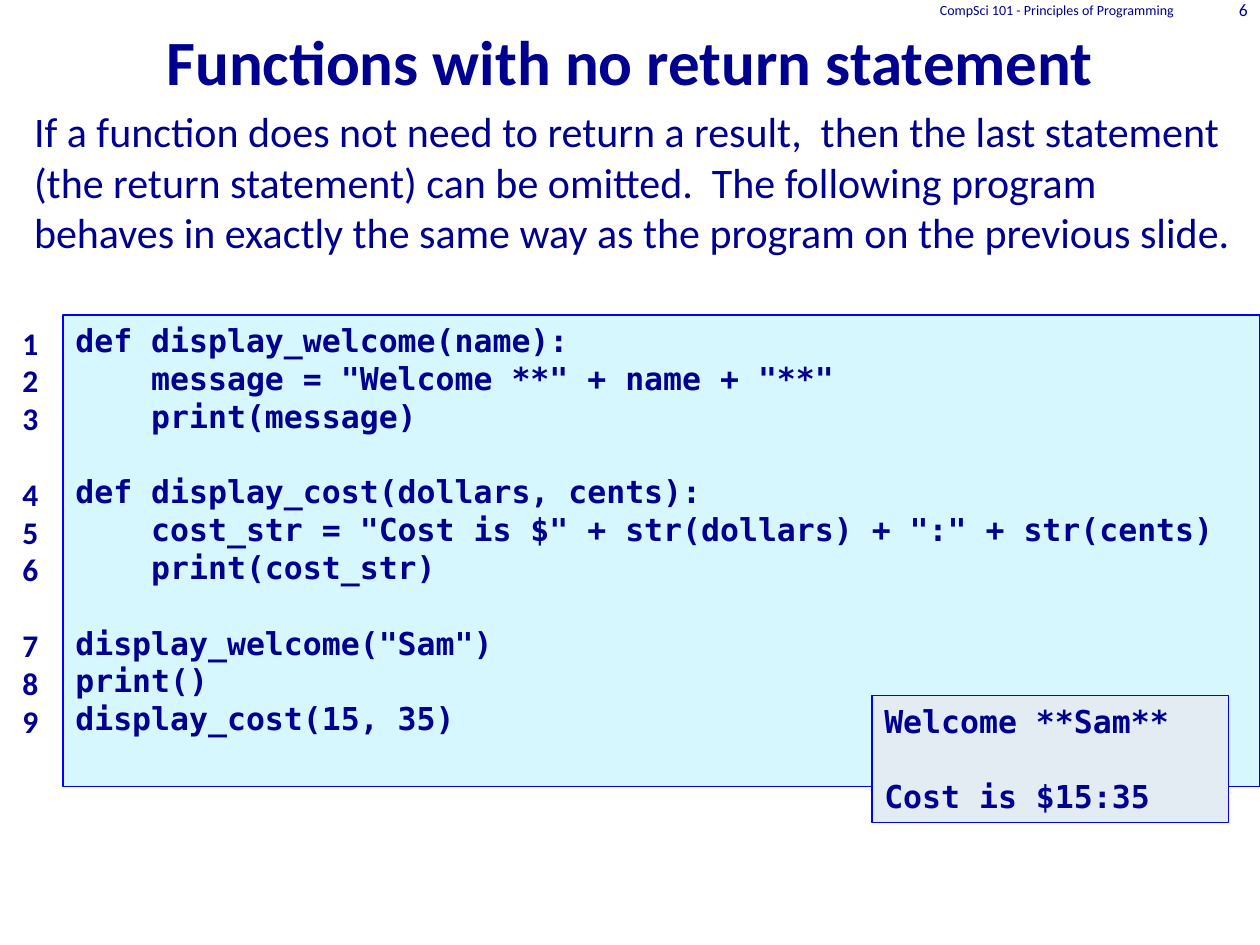
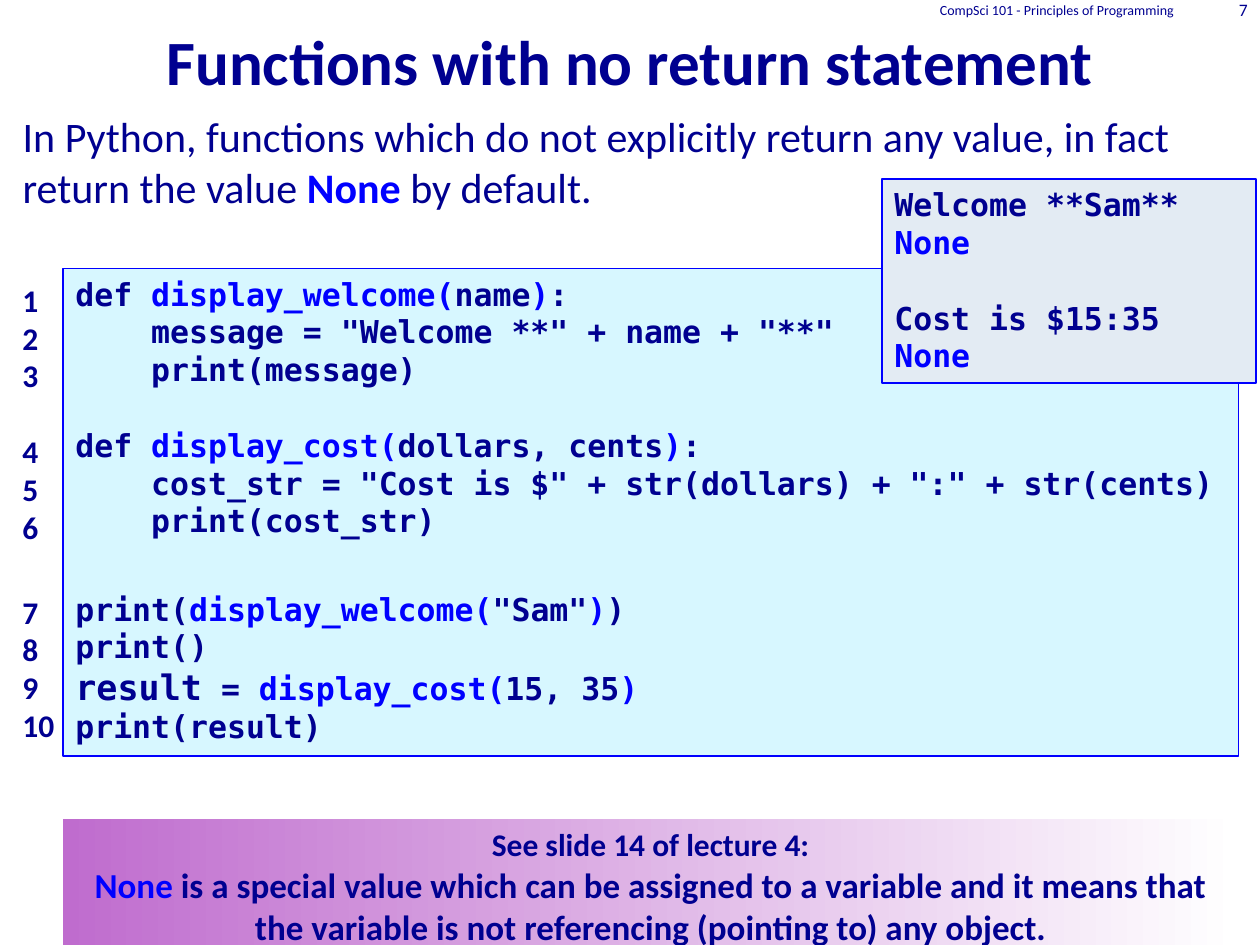
"""Build two lecture slides on functions without a return statement."""
from dataclasses import dataclass

from pptx import Presentation
from pptx.dml.color import RGBColor
from pptx.enum.shapes import MSO_SHAPE
from pptx.enum.text import MSO_ANCHOR, MSO_AUTO_SIZE, PP_ALIGN
from pptx.util import Inches, Pt

RECTANGLE = MSO_SHAPE.RECTANGLE
TOP, MIDDLE, BOTTOM = MSO_ANCHOR.TOP, MSO_ANCHOR.MIDDLE, MSO_ANCHOR.BOTTOM
LEFT, CENTER, RIGHT = PP_ALIGN.LEFT, PP_ALIGN.CENTER, PP_ALIGN.RIGHT
NO_AUTOFIT = MSO_AUTO_SIZE.NONE


@dataclass(frozen=True)
class Theme:
    """Colours, fonts and type sizes shared by the slides."""
    ink: RGBColor = RGBColor(0x00, 0x00, 0x90)
    accent: RGBColor = RGBColor(0x00, 0x00, 0xFF)
    code_fill: RGBColor = RGBColor(0xD7, 0xF7, 0xFF)
    output_fill: RGBColor = RGBColor(0xE3, 0xEB, 0xF3)
    notice_start: RGBColor = RGBColor(0xBF, 0x6C, 0xCE)
    notice_end: RGBColor = RGBColor(0xFF, 0xFF, 0xFF)
    prose: str = "Calibri"
    mono: str = "DejaVu Sans Mono"
    title_size: int = 36
    body_size: int = 24
    emphasis_size: int = 20
    code_size: int = 18
    page_size: int = 10
    course_size: int = 8
    border: float = 0.75
    line_pitch: float = 21.6
    large_pitch: float = 24


THEME = Theme()
TITLE = "Functions with no return statement"
COURSE = "CompSci 101 - Principles of Programming"


def place(shape, box):
    """Move a shape to a box of left, top, width and height in inches."""
    shape.left, shape.top, shape.width, shape.height = map(Inches, box)


def write_line(paragraph, text, size, font=THEME.prose, bold=False, align=LEFT):
    """Fill a paragraph; text between bars is bold in the accent colour."""
    paragraph.alignment = align
    paragraph.font.name = font
    paragraph.font.size = Pt(size)
    paragraph.font.bold = bold
    paragraph.font.color.rgb = THEME.ink
    for index, part in enumerate(text.split("|")):
        if part:
            run = paragraph.add_run()
            run.text = part
            if index % 2:
                run.font.bold = True
                run.font.color.rgb = THEME.accent


def set_frame(frame, anchor=TOP):
    """Make a text frame wrap at a fixed size."""
    frame.word_wrap = True
    frame.auto_size = NO_AUTOFIT
    frame.vertical_anchor = anchor


def write_blocks(frame, blocks, gap=THEME.line_pitch, last_gap=THEME.line_pitch,
                 font=THEME.mono):
    """Write blocks of lines at an even pitch, with a gap between blocks."""
    set_frame(frame)
    paragraph = None
    for number, block in enumerate(blocks):
        for row, line in enumerate(block):
            paragraph = frame.add_paragraph() if paragraph else frame.paragraphs[0]
            write_line(paragraph, line, THEME.code_size, font, bold=True)
            paragraph.line_spacing = Pt(THEME.line_pitch)
            if number and not row:
                last = number == len(blocks) - 1
                paragraph.space_before = Pt(last_gap if last else gap)


def add_panel(slide, box):
    """Add a plain rectangle."""
    panel = slide.shapes.add_shape(RECTANGLE, *map(Inches, box))
    panel.shadow.inherit = False
    return panel


def add_listing(slide, box, fill, blocks, last_gap=THEME.line_pitch):
    """Add a bordered panel of monospaced lines and return its text frame."""
    panel = add_panel(slide, box)
    panel.fill.solid()
    panel.fill.fore_color.rgb = fill
    panel.line.color.rgb = THEME.accent
    panel.line.width = Pt(THEME.border)
    write_blocks(panel.text_frame, blocks, last_gap=last_gap)
    return panel.text_frame


def add_line_numbers(slide, box, counts, last_gap=THEME.line_pitch):
    """Number the code lines, given how many lines each block has."""
    blocks, first = [], 1
    for count in counts:
        blocks.append([str(number) for number in range(first, first + count)])
        first += count
    numbers = slide.shapes.add_textbox(*map(Inches, box))
    write_blocks(numbers.text_frame, blocks, last_gap=last_gap, font=THEME.prose)


def add_notice(slide, box, reference, statement):
    """Add the fading band with a reference and a statement."""
    band = add_panel(slide, box)
    band.line.fill.background()
    band.fill.gradient()
    band.fill.gradient_angle = 0
    for stop, color in zip(band.fill.gradient_stops,
                           (THEME.notice_start, THEME.notice_end)):
        stop.color.rgb = color
    frame = band.text_frame
    set_frame(frame)
    write_line(frame.paragraphs[0], reference, THEME.code_size, bold=True, align=CENTER)
    write_line(frame.add_paragraph(), statement, THEME.emphasis_size, bold=True,
               align=CENTER)


def add_header(slide, page):
    """Add the course name and page number along the top edge."""
    for left, width, text, size in ((6.42, 3, COURSE, THEME.course_size),
                                    (9.42, 0.58, str(page), THEME.page_size)):
        label = slide.shapes.add_textbox(*map(Inches, (left, -0.01, width, 0.17)))
        set_frame(label.text_frame, MIDDLE)
        write_line(label.text_frame.paragraphs[0], text, size, align=RIGHT)


def add_lecture_slide(deck, page, body_box, body_text):
    """Add a slide with its header, title and introductory text."""
    slide = deck.slides.add_slide(deck.slide_layouts[1])
    title, body = slide.placeholders
    place(title, (0, 0, 10, 0.83))
    set_frame(title.text_frame, BOTTOM)
    write_line(title.text_frame.paragraphs[0], TITLE, THEME.title_size, bold=True,
               align=CENTER)
    place(body, body_box)
    set_frame(body.text_frame)
    intro = body.text_frame.paragraphs[0]
    write_line(intro, body_text, THEME.body_size)
    properties = intro._p.get_or_add_pPr()
    properties.set("marL", "0")
    properties.set("indent", "0")
    bullet = properties.makeelement(
        "{http://schemas.openxmlformats.org/drawingml/2006/main}buNone", {})
    properties.insert_element_before(bullet, "a:tabLst", "a:defRPr", "a:extLst")
    add_header(slide, page)
    return slide


def function_blocks(welcome, cost):
    """Return the two function definitions under the given signatures."""
    return [
        [f"def {welcome}:",
         '    message = "Welcome **" + name + "**"',
         "    print(message)"],
        [f"def {cost}:",
         '    cost_str = "Cost is $" + str(dollars) + ":" + str(cents)',
         "    print(cost_str)"],
    ]


def build_omitted_return(deck):
    """Show the program whose functions omit the return statement."""
    slide = add_lecture_slide(
        deck, 6, (0.17, 0.79, 9.75, 5.05),
        "If a function does not need to return a result,  then the last statement "
        "(the return statement) can be omitted.  The following program behaves in "
        "exactly the same way as the program on the previous slide.")
    code = function_blocks("display_welcome(name)", "display_cost(dollars, cents)")
    code.append(['display_welcome("Sam")', "print()", "display_cost(15, 35)"])
    add_listing(slide, (0.5, 2.5, 9.5, 3.74), THEME.code_fill, code)
    add_listing(slide, (6.92, 5.52, 2.83, 1.01), THEME.output_fill,
                [["Welcome **Sam**"], ["Cost is $15:35"]])
    add_line_numbers(slide, (0.08, 2.52, 1.67, 3.74), map(len, code))


def build_none_by_default(deck):
    """Show that functions return None by default."""
    slide = add_lecture_slide(
        deck, 7, (0.08, 0.83, 9.92, 5.13),
        "In Python, functions which do not explicitly return any value, in fact "
        "return the value |None| by default.")
    code = function_blocks("|display_welcome(|name|)|",
                           "|display_cost(|dollars, cents|)|")
    code.append(['print(|display_welcome(|"Sam"|)|)', "print()",
                 "result|| = |display_cost(|15, 35|)|", "print(result)"])
    listing = add_listing(slide, (0.5, 2.13, 9.33, 3.87), THEME.code_fill, code,
                          last_gap=28.8)
    assignment = listing.paragraphs[-2]
    assignment.line_spacing = Pt(THEME.large_pitch)
    assignment.runs[0].font.size = Pt(THEME.emphasis_size)
    add_listing(slide, (7, 1.42, 2.97, 1.62), THEME.output_fill,
                [["Welcome **Sam**", "|None|"], ["Cost is $15:35", "|None|"]])
    add_line_numbers(slide, (0.08, 2.18, 1.08, 3.8), map(len, code), last_gap=27)
    add_notice(slide, (0.5, 6.5, 9.33, 1.08), "See slide 14 of lecture 4:",
               "|None |is a special value which can be assigned to a variable and it "
               "means that the variable is not referencing (pointing to) any object.")


def main():
    """Build and save the slides."""
    deck = Presentation()
    deck.slide_width, deck.slide_height = Inches(10), Inches(7.5)
    build_omitted_return(deck)
    build_none_by_default(deck)
    deck.save("out.pptx")


if __name__ == "__main__":
    main()
